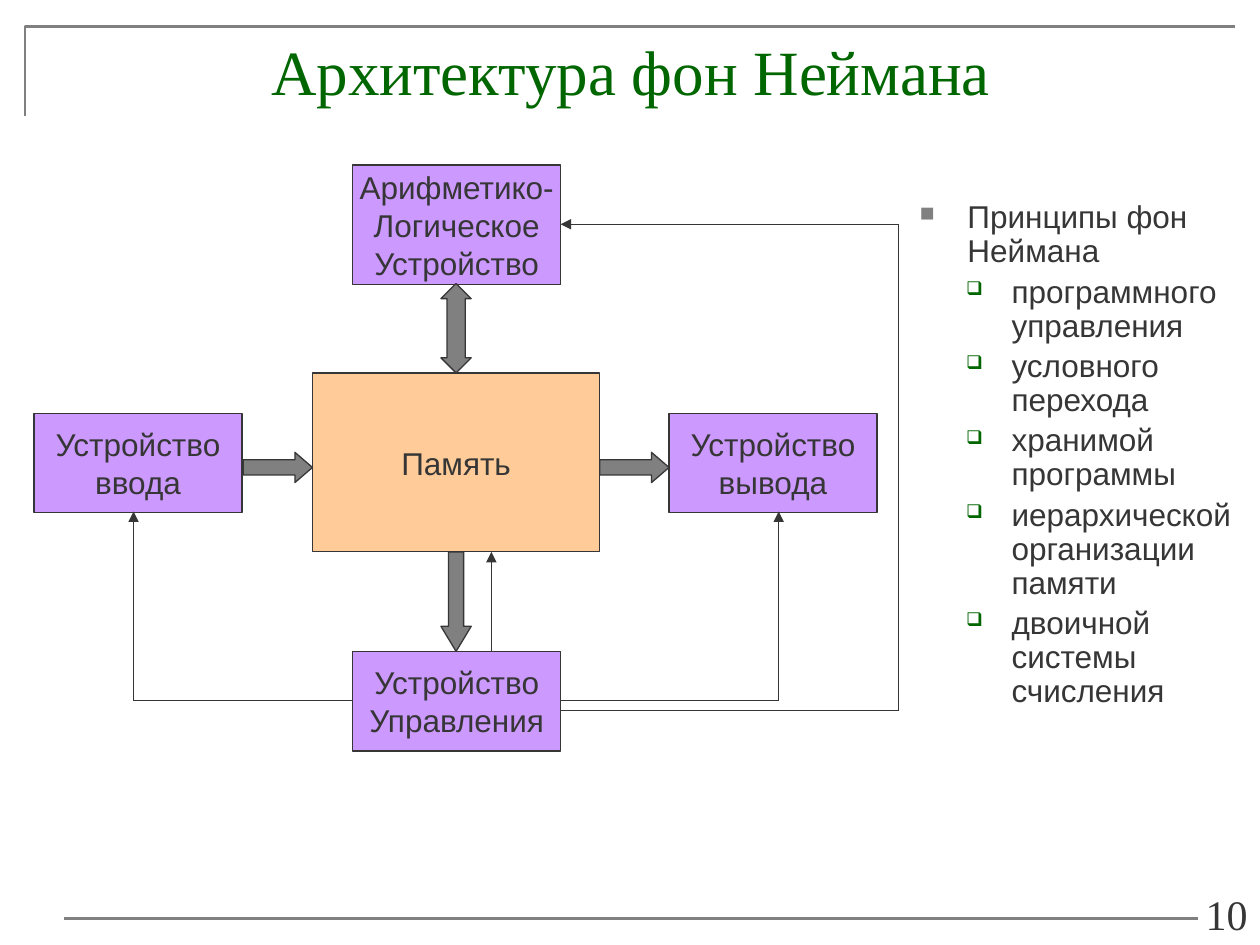
from lxml import etree
from pptx import Presentation
from pptx.dml.color import RGBColor
from pptx.enum.shapes import MSO_CONNECTOR, MSO_SHAPE
from pptx.enum.text import MSO_ANCHOR, PP_ALIGN
from pptx.oxml.ns import qn
from pptx.util import Inches, Pt

GREEN = RGBColor(0x00, 0x66, 0x00)
GRAY = RGBColor(0x80, 0x80, 0x80)
DARK = RGBColor(0x36, 0x36, 0x36)
VIOLET = RGBColor(0xCC, 0x99, 0xFF)
PEACH = RGBColor(0xFF, 0xCC, 0x99)

prs = Presentation()
prs.slide_width, prs.slide_height = Inches(10), Inches(7.5)
slide = prs.slides.add_slide(prs.slide_layouts[6])
shapes = slide.shapes


def write(shape, lines, size=18, font="Arial", color=DARK, align=PP_ALIGN.CENTER,
          anchor=MSO_ANCHOR.TOP, wrap=True):
    """Fill a shape with one paragraph per line and return its text frame."""
    frame = shape.text_frame
    frame.word_wrap = wrap
    frame.vertical_anchor = anchor
    for index, line in enumerate(lines):
        paragraph = frame.paragraphs[0] if index == 0 else frame.add_paragraph()
        paragraph.alignment = align
        run = paragraph.add_run()
        run.text = line
        run.font.size, run.font.name = Pt(size), font
        run.font.color.rgb = color
    return frame


def draw_line(start, end, color=DARK, width=0.75, arrow=False):
    line = shapes.add_connector(MSO_CONNECTOR.STRAIGHT,
                                *(Inches(v) for v in (*start, *end)))
    line.line.color.rgb, line.line.width = color, Pt(width)
    if arrow:
        etree.SubElement(line.line._get_or_add_ln(), qn("a:tailEnd"), type="triangle")
    etree.SubElement(line._element.spPr, qn("a:effectLst"))


# Slide frame
builder = shapes.build_freeform(Inches(0.2), Inches(0.92), scale=1.0)
builder.add_line_segments([(Inches(0.2), Inches(0.21)), (Inches(9.8), Inches(0.21))],
                          close=False)
corner = builder.convert_to_shape()
corner.shadow.inherit = False
corner.fill.background()
corner.line.color.rgb, corner.line.width = GRAY, Pt(1.5)
draw_line((0.51, 7.29), (9.51, 7.29), GRAY, 1.5)

page_number = shapes.add_textbox(Inches(7.67), Inches(7.06), Inches(2.33), Inches(0.44))
write(page_number, ["10"], size=24, font="Times New Roman",
      align=PP_ALIGN.RIGHT, anchor=MSO_ANCHOR.BOTTOM)
title = shapes.add_textbox(Inches(0.2), Inches(0.21), Inches(9.61), Inches(1.34))
write(title, ["Архитектура фон Неймана"], size=36, font="Times New Roman", color=GREEN)

# Principles
principles = shapes.add_textbox(Inches(7.2), Inches(1.55), Inches(2.68), Inches(5.51))
principles_frame = write(principles, [
    "Принципы фон Неймана",
    "программного управления",
    "условного перехода",
    "хранимой программы",
    "иерархической организации памяти",
    "двоичной системы счисления",
], align=PP_ALIGN.LEFT)
principles_frame.margin_right = Inches(0.08)
for index, paragraph in enumerate(principles_frame.paragraphs):
    if index == 0:
        bullet, color, percent, left, hanging = "■", GRAY, 65, 0.38, 0.38
    else:
        bullet, color, percent, left, hanging = "❑", GREEN, 60, 0.73, 0.36
        paragraph.level = 1
        paragraph.space_before = Pt(3.6)
    paragraph.line_spacing = 0.9
    properties = paragraph._p.get_or_add_pPr()
    properties.set("marL", str(Inches(left)))
    properties.set("indent", str(-Inches(hanging)))
    bullet_color = etree.SubElement(properties, qn("a:buClr"))
    etree.SubElement(bullet_color, qn("a:srgbClr"), val=str(color))
    etree.SubElement(properties, qn("a:buSzPct"), val=str(percent * 1000))
    etree.SubElement(properties, qn("a:buChar"), char=bullet)

# Units of the machine
units = [
    (2.8, 1.31, 1.65, 0.95, VIOLET, ["Арифметико-", "Логическое", "Устройство"]),
    (2.8, 5.17, 1.65, 0.79, VIOLET, ["Устройство", "Управления"]),
    (0.27, 3.28, 1.65, 0.79, VIOLET, ["Устройство", "ввода"]),
    (5.31, 3.28, 1.65, 0.79, VIOLET, ["Устройство", "вывода"]),
    (2.48, 2.96, 2.28, 1.42, PEACH, ["Память"]),
]
for *box, color, lines in units:
    unit = shapes.add_shape(MSO_SHAPE.RECTANGLE, *(Inches(v) for v in box))
    unit.shadow.inherit = False
    unit.fill.solid()
    unit.fill.fore_color.rgb = color
    unit.line.color.rgb, unit.line.width = DARK, Pt(0.75)
    write(unit, lines, anchor=MSO_ANCHOR.MIDDLE, wrap=False)

# Data flow
data_arrows = [
    (MSO_SHAPE.RIGHT_ARROW, 1.93, 3.59, 0.55, 0.24, 0.58),
    (MSO_SHAPE.RIGHT_ARROW, 4.76, 3.59, 0.55, 0.24, 0.58),
    (MSO_SHAPE.UP_DOWN_ARROW, 3.5, 2.25, 0.24, 0.71, 0.6),
    (MSO_SHAPE.DOWN_ARROW, 3.5, 4.38, 0.24, 0.79, 0.83),
]
for kind, *box, head in data_arrows:
    arrow = shapes.add_shape(kind, *(Inches(v) for v in box))
    arrow.shadow.inherit = False
    arrow.adjustments[0], arrow.adjustments[1] = 0.5, head
    arrow.fill.solid()
    arrow.fill.fore_color.rgb = GRAY
    arrow.line.color.rgb, arrow.line.width = DARK, Pt(0.75)

# Control signals, each ending in an arrowhead
control_routes = [
    [(2.8, 5.56), (1.06, 5.56), (1.06, 4.06)],
    [(4.45, 5.56), (6.18, 5.56), (6.18, 4.06)],
    [(3.9, 5.17), (3.9, 4.38)],
    [(4.45, 5.64), (7.13, 5.64), (7.13, 1.78), (4.45, 1.78)],
]
for route in control_routes:
    for start, end in zip(route, route[1:]):
        draw_line(start, end, arrow=end == route[-1])

prs.save("out.pptx")
